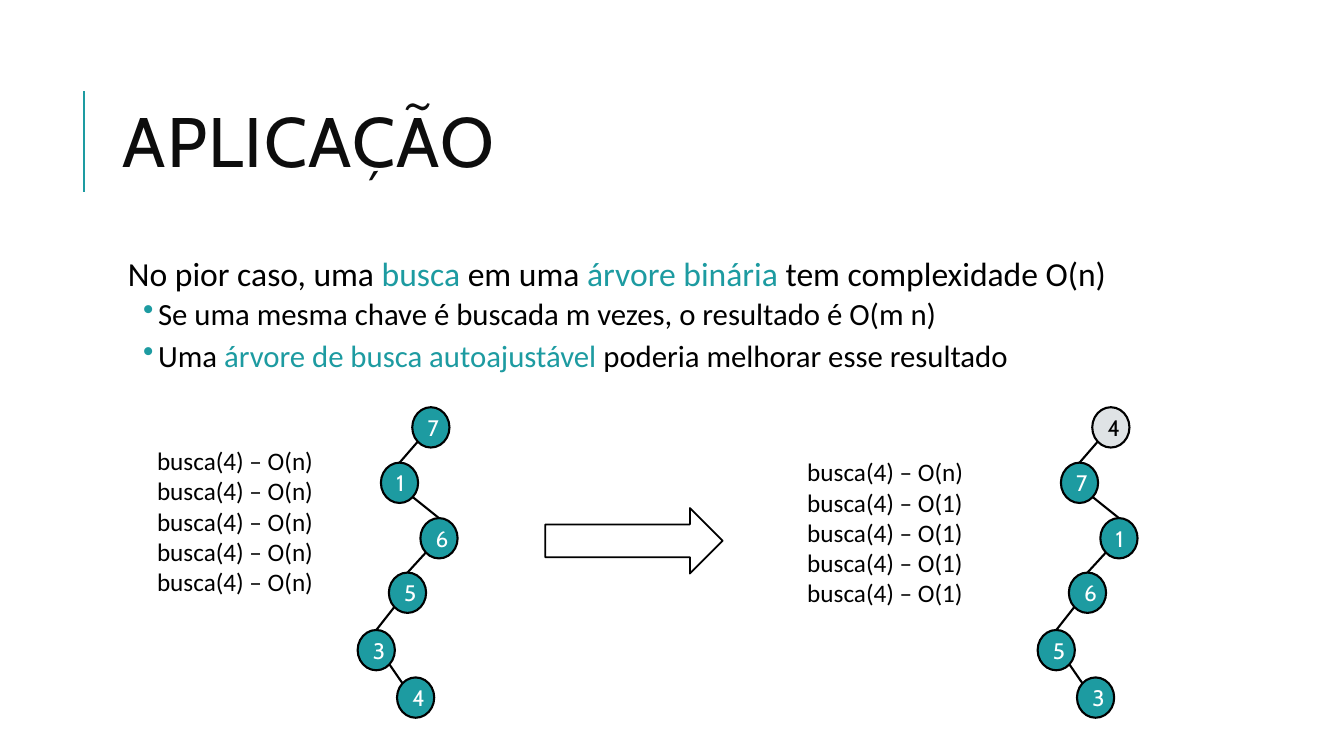
from lxml import etree
from pptx import Presentation
from pptx.dml.color import RGBColor
from pptx.enum.shapes import MSO_CONNECTOR, MSO_SHAPE
from pptx.enum.text import MSO_ANCHOR, PP_ALIGN
from pptx.oxml.ns import qn
from pptx.util import Pt

STRAIGHT = MSO_CONNECTOR.STRAIGHT
OVAL = MSO_SHAPE.OVAL
RIGHT_ARROW = MSO_SHAPE.RIGHT_ARROW
MIDDLE = MSO_ANCHOR.MIDDLE
CENTER = PP_ALIGN.CENTER
TEAL, BLACK, WHITE, GREY = "1D9BA1", "000000", "FFFFFF", "DFE3E5"


def rgb(value):
    return RGBColor.from_string(value)


def add_run(paragraph, text, size=18, font="Calibri", color=BLACK, spacing=0):
    run = paragraph.add_run()
    run.text = text
    run.font.size = Pt(size)
    run.font.name = font
    run.font.color.rgb = rgb(color)
    if spacing:
        run.font._element.set("spc", str(spacing * 100))


prs = Presentation()
prs.slide_width, prs.slide_height = Pt(960), Pt(540)
slide = prs.slides.add_slide(prs.slide_layouts[6])
shapes = slide.shapes

title = shapes.add_textbox(Pt(80.6), Pt(46), Pt(765.4), Pt(118)).text_frame
title.word_wrap = True
title.vertical_anchor = MIDDLE
title.paragraphs[0].line_spacing = 0.8
add_run(title.paragraphs[0], "APLICAÇÃO", size=50, font="Cabin", color="0D0D0D", spacing=1)

body = shapes.add_textbox(Pt(80.6), Pt(180), Pt(765.4), Pt(317)).text_frame
body.word_wrap = True
body.margin_left = body.margin_right = body.margin_top = body.margin_bottom = Pt(3.6)
statements = [
    (24, [("No pior caso, uma ", BLACK), ("busca", TEAL), (" em uma ", BLACK),
          ("árvore binária ", TEAL), ("tem complexidade O(n)", BLACK)]),
    (22, [("Se uma mesma chave é buscada m vezes, o resultado é O(m n)", BLACK)]),
    (22, [("Uma ", BLACK), ("árvore de busca autoajustável ", TEAL),
          ("poderia melhorar esse resultado", BLACK)]),
]
for index, (size, parts) in enumerate(statements):
    statement = body.add_paragraph() if index else body.paragraphs[0]
    layout = statement._p.get_or_add_pPr()
    if index:
        layout.set("marL", str(Pt(28.8)))
        layout.set("indent", str(Pt(-10.8)))
        bullet_color = etree.SubElement(layout, qn("a:buClr"))
        etree.SubElement(bullet_color, qn("a:srgbClr"), val=TEAL)
        etree.SubElement(layout, qn("a:buChar"), char="•")
        statement.space_before = Pt(2)
    else:
        layout.set("marL", str(Pt(7.2)))
    statement.space_after = Pt(4 if index else 2)
    statement.line_spacing = 0.9
    for text, color in parts:
        add_run(statement, text, size=size, color=color)

NODE_W, NODE_H = 26.6, 28.8
NEAR, FAR = 0.15, 0.85
node_places = [(39, 0), (16.6, 39.6), (44.8, 79.2), (22.3, 118.1), (0, 159.1), (28.1, 193)]
edge_ends = [(NEAR, 0.5, 0), (FAR, 0.5, 0), (NEAR, 0.5, 0), (NEAR, 0.5, 0), (FAR, NEAR, NEAR)]
trees = [(255.5, "716534", TEAL, BLACK), (741.2, "471653", GREY, BLACK)]
TREE_TOP = 290.9

lines = [(60, 136.8, 60, 64.8, TEAL)]
for tree_left, keys, root_fill, root_text in trees:
    for (x1, y1), (x2, y2), (start, end, drop) in zip(node_places, node_places[1:], edge_ends):
        lines.append((tree_left + x1 + start * NODE_W, TREE_TOP + y1 + FAR * NODE_H,
                      tree_left + x2 + end * NODE_W, TREE_TOP + y2 + drop * NODE_H, BLACK))
for x1, y1, x2, y2, color in lines:
    line = shapes.add_connector(STRAIGHT, Pt(x1), Pt(y1), Pt(x2), Pt(y2))
    line.line.color.rgb = rgb(color)
    line.line.width = Pt(1.5)
    etree.SubElement(line._element.spPr, qn("a:effectLst"))

for tree_left, keys, root_fill, root_text in trees:
    for key, (x, y) in zip(keys, node_places):
        accessed = y == 0 and root_fill == GREY
        node = shapes.add_shape(OVAL, Pt(tree_left + x), Pt(TREE_TOP + y), Pt(NODE_W), Pt(NODE_H))
        node.shadow.inherit = False
        node.fill.solid()
        node.fill.fore_color.rgb = rgb(root_fill if accessed else TEAL)
        node.line.color.rgb = rgb(BLACK)
        node.line.width = Pt(1.5)
        node.text_frame.vertical_anchor = MIDDLE
        node.text_frame.paragraphs[0].alignment = CENTER
        add_run(node.text_frame.paragraphs[0], key, size=16, font="Cabin",
                color=root_text if accessed else WHITE)

arrow = shapes.add_shape(RIGHT_ARROW, Pt(389.5), Pt(362.9), Pt(126.7), Pt(46.8))
arrow.shadow.inherit = False
arrow.fill.solid()
arrow.fill.fore_color.rgb = rgb(WHITE)
arrow.line.color.rgb = rgb(BLACK)
arrow.line.width = Pt(1.25)

for left, top, width, repeat_cost in [(105.1, 314.6, 132.5, "n"), (569.5, 322.6, 149.8, "1")]:
    searches = shapes.add_textbox(Pt(left), Pt(top), Pt(width), Pt(138.2)).text_frame
    searches.word_wrap = True
    for index, cost in enumerate("n" + repeat_cost * 4):
        search = searches.add_paragraph() if index else searches.paragraphs[0]
        add_run(search, f"busca(4) – O({cost})")

prs.save("out.pptx")
